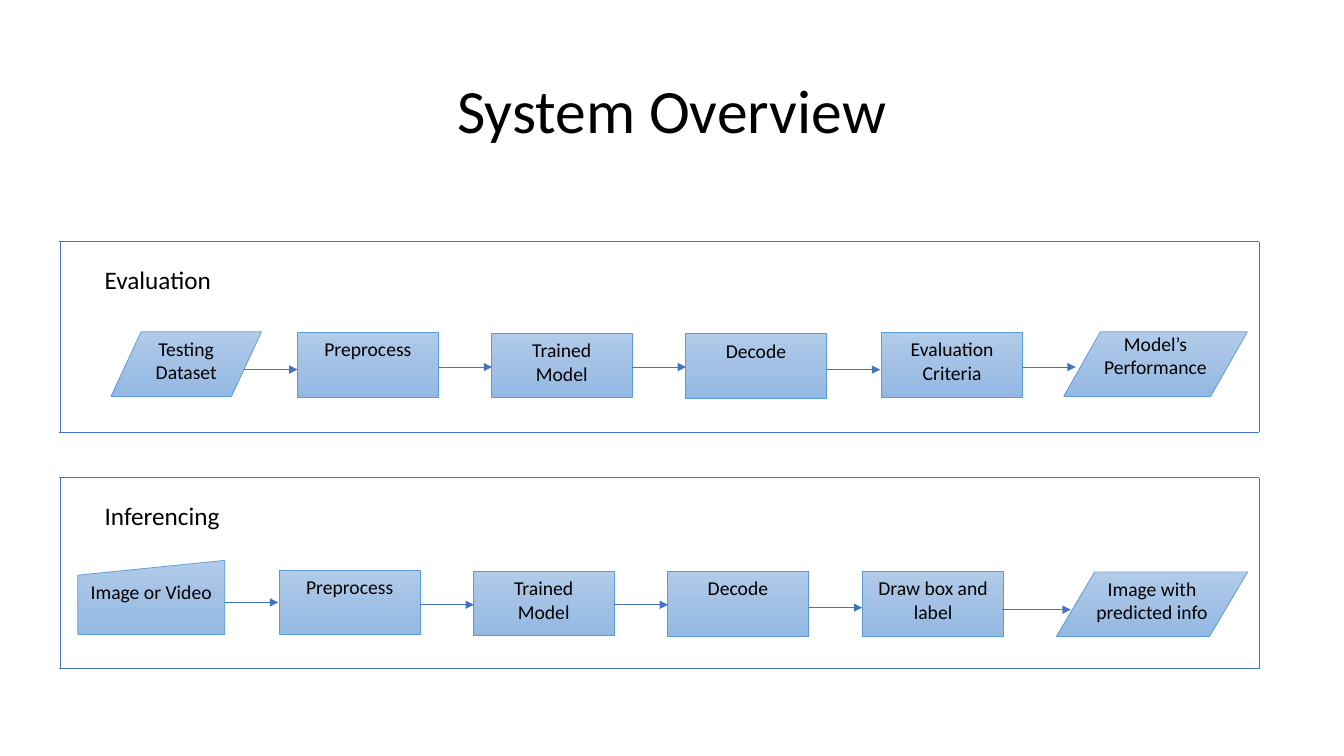
from copy import deepcopy

from lxml.etree import SubElement
from pptx import Presentation
from pptx.dml.color import RGBColor
from pptx.enum.shapes import MSO_CONNECTOR, MSO_SHAPE
from pptx.enum.text import MSO_ANCHOR, MSO_AUTO_SIZE, PP_ALIGN
from pptx.oxml.ns import qn
from pptx.util import Pt


def rgb(value):
    return RGBColor.from_string(value)


class FlowSlide:
    """Draws a flow chart slide in one style, with lengths in points."""

    font_name = "Calibri"
    ink = "000000"
    rule = "4472C4"
    outline = "5B9BD5"
    gradient = ((0, "B1CBE9"), (0.5, "A3C1E5"), (1, "93B9E4"))
    line_width = 0.5

    def __init__(self, presentation):
        self.slide = presentation.slides.add_slide(presentation.slide_layouts[5])
        self.shapes = self.slide.shapes

    def set_text(self, frame, text, size, align, anchor=MSO_ANCHOR.TOP):
        frame.word_wrap = True
        frame.vertical_anchor = anchor
        frame.text = text
        for paragraph in frame.paragraphs:
            paragraph.alignment = align
            paragraph.font.size = Pt(size)
            paragraph.font.name = self.font_name
            paragraph.font.color.rgb = rgb(self.ink)

    def title(self, text, left, top, width, height):
        title = self.shapes.title
        title.left, title.top = Pt(left), Pt(top)
        title.width, title.height = Pt(width), Pt(height)
        self.set_text(title.text_frame, text, 44, PP_ALIGN.CENTER, MSO_ANCHOR.MIDDLE)
        title.text_frame.auto_size = MSO_AUTO_SIZE.NONE
        title.text_frame.paragraphs[0].line_spacing = 0.9

    def label(self, text, left, top, width, height):
        label = self.shapes.add_textbox(Pt(left), Pt(top), Pt(width), Pt(height))
        self.set_text(label.text_frame, text, 18, PP_ALIGN.LEFT)
        label.text_frame.auto_size = MSO_AUTO_SIZE.SHAPE_TO_FIT_TEXT

    def line(self, x1, y1, x2, y2, shapes=None):
        line = (shapes or self.shapes).add_connector(
            MSO_CONNECTOR.STRAIGHT, Pt(x1), Pt(y1), Pt(x2), Pt(y2))
        line.line.color.rgb = rgb(self.rule)
        line.line.width = Pt(self.line_width)
        SubElement(line.element.spPr, qn("a:effectLst"))
        return line

    def arrow(self, left, y, length):
        arrow = self.line(left, y, left + length, y)
        outline = arrow.element.spPr.find(qn("a:ln"))
        SubElement(outline, qn("a:tailEnd"), type="triangle")

    def frame(self, left, top, right, bottom):
        sides = self.shapes.add_group_shape().shapes
        for y in (top, bottom):
            self.line(left, y, right, y, sides)
        for x in (left + 0.7, right):
            self.line(x, top + 0.8, x, bottom, sides)

    def step(self, kind, text, left, top, width, height, insets=None):
        step = self.shapes.add_shape(kind, Pt(left), Pt(top), Pt(width), Pt(height))
        step.shadow.inherit = False
        step.line.color.rgb = rgb(self.outline)
        step.line.width = Pt(self.line_width)
        step.fill.gradient()
        step.fill.gradient_angle = 270
        stops = step.element.xpath(".//a:gsLst")[0]
        stops.insert(1, deepcopy(stops[0]))
        for stop, (position, color) in zip(step.fill.gradient_stops, self.gradient):
            stop.position = position
            stop.color.rgb = rgb(color)
        frame = step.text_frame
        self.set_text(frame, text, 14, PP_ALIGN.CENTER)
        if insets:
            frame.margin_left = frame.margin_right = 0
            frame.margin_top, frame.margin_bottom = map(Pt, insets)


PROCESS = MSO_SHAPE.FLOWCHART_PROCESS
DATA = MSO_SHAPE.FLOWCHART_DATA
INPUT = MSO_SHAPE.FLOWCHART_MANUAL_INPUT
STEP_WIDTH, STEP_HEIGHT = 101, 46.2
ARROW_LENGTH = 38.2

STAGES = [
    ("Evaluation", 172.1, [
        (DATA, "Testing Dataset", 79.3, 237, 107.5, STEP_HEIGHT),
        (PROCESS, "Preprocess", 212.3, 237.4, STEP_WIDTH, STEP_HEIGHT),
        (PROCESS, "Trained\nModel", 350.8, 237.9, STEP_WIDTH, STEP_HEIGHT),
        (PROCESS, "Decode", 489.5, 238.3, STEP_WIDTH, STEP_HEIGHT),
        (PROCESS, "Evaluation Criteria", 629.6, 237.4, STEP_WIDTH, STEP_HEIGHT),
        (DATA, "Model’s Performance", 759.8, 237, 131.2, STEP_HEIGHT, (0, 7.2)),
    ], [
        (174.3, 264, ARROW_LENGTH),
        (313.3, 262.2, ARROW_LENGTH),
        (451.8, 262.2, ARROW_LENGTH),
        (590.5, 264, ARROW_LENGTH),
        (730.2, 262.2, ARROW_LENGTH),
    ]),
    ("Inferencing", 340.9, [
        (INPUT, "Image or Video", 55.5, 400.3, 105.1, 52.9),
        (PROCESS, "Preprocess", 199.3, 407.2, STEP_WIDTH, STEP_HEIGHT),
        (PROCESS, "Trained\nModel", 337.9, 407.9, STEP_WIDTH, STEP_HEIGHT),
        (PROCESS, "Decode", 476.6, 408.2, STEP_WIDTH, STEP_HEIGHT),
        (PROCESS, "Draw box and label", 616, 408.2, STEP_WIDTH, STEP_HEIGHT),
        (DATA, "Image with predicted info", 754.6, 408.5, 136.6, STEP_HEIGHT, (3.6, 3.6)),
    ], [
        (160.6, 430.3, ARROW_LENGTH),
        (300.3, 432, ARROW_LENGTH),
        (438.9, 432, ARROW_LENGTH),
        (577.6, 434, ARROW_LENGTH),
        (716, 435.5, 48.8),
    ]),
]


def main():
    presentation = Presentation()
    presentation.slide_width, presentation.slide_height = Pt(960), Pt(540)
    overview = FlowSlide(presentation)
    overview.title("System Overview", 66, 28.8, 828, 104.4)
    for heading, top, steps, arrows in STAGES:
        overview.frame(42.5, top, 899.3, top + 136.8)
        overview.label(heading, 67.7, top + 13.2, 130.3, 29.1)
        for step in steps:
            overview.step(*step)
        for arrow in arrows:
            overview.arrow(*arrow)
    presentation.save("out.pptx")


if __name__ == "__main__":
    main()
